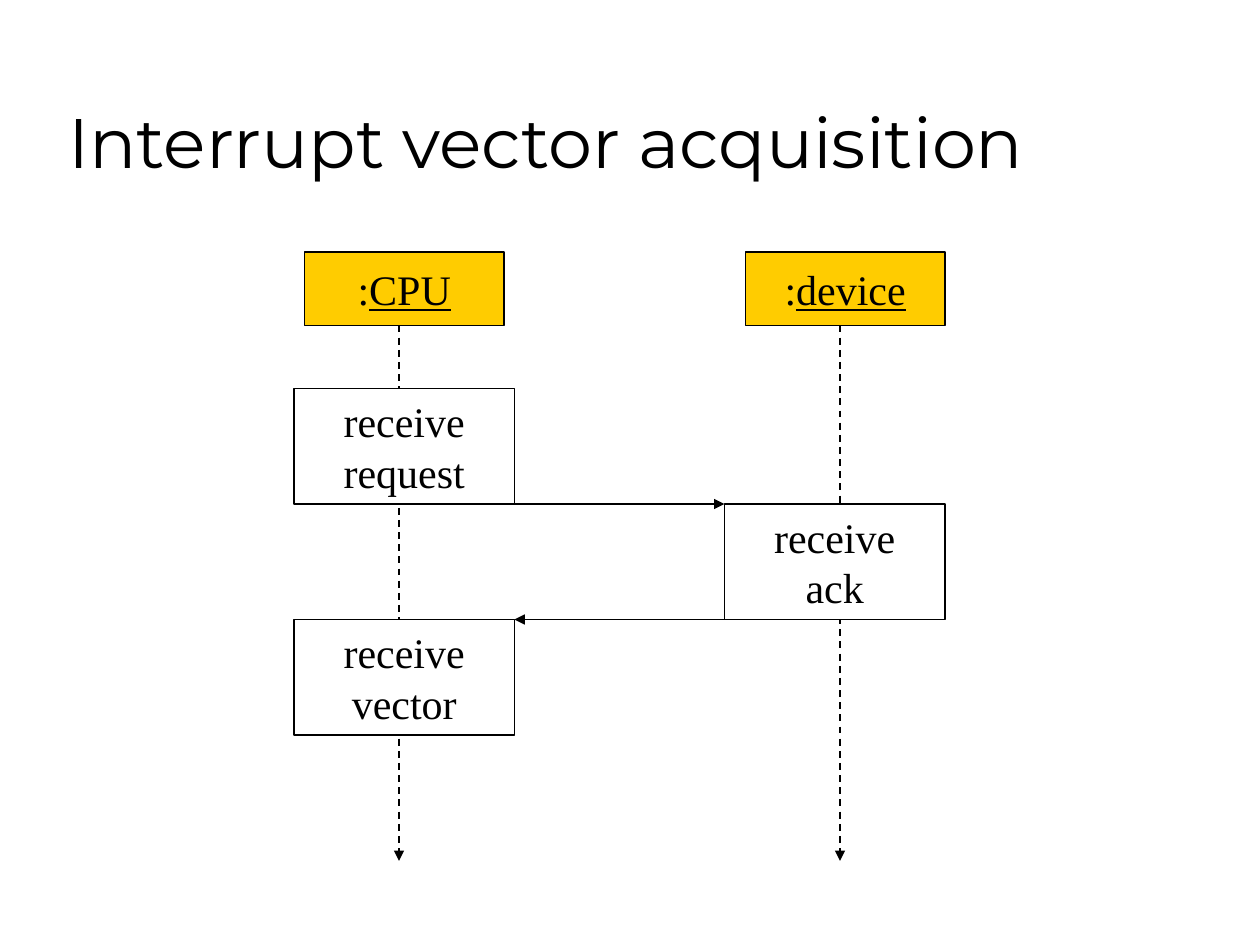
"""Build the sequence diagram of interrupt vector acquisition."""
from lxml.etree import SubElement
from pptx import Presentation
from pptx.dml.color import RGBColor
from pptx.enum.dml import MSO_LINE
from pptx.enum.shapes import MSO_CONNECTOR, MSO_SHAPE
from pptx.enum.text import MSO_ANCHOR, MSO_AUTO_SIZE, PP_ALIGN
from pptx.oxml.ns import qn
from pptx.util import Emu, Pt

TITLE = "Interrupt vector acquisition"
ACTORS = [
    {"name": "CPU", "head": 290, "life": 380, "block": 280},
    {"name": "device", "head": 710, "life": 800, "block": 690},
]
STEPS = [
    (0, ("receive", "request")),
    (1, ("receive", "ack")),
    (0, ("receive", "vector")),
]

PX = 7620
PAGE = (1200, 900)
TITLE_BOX = (53, 30, 1020, 150)
HEAD_TOP, HEAD_W, HEAD_H = 240, 190, 70
STEP_TOP, STEP_W, STEP_H = 370, 210, 110
LIFE_END = 820

INK = RGBColor(0x00, 0x00, 0x00)
THEME = {
    "head": RGBColor(0xFF, 0xCC, 0x00),
    "block": RGBColor(0xFF, 0xFF, 0xFF),
    "thin": Pt(0.75),
    "line": Pt(1),
    "title": {"name": "Montserrat", "size": Pt(40), "bold": False},
    "label": {"name": "Times New Roman", "size": Pt(24)},
}
FRAME = {"word_wrap": False, "vertical_anchor": MSO_ANCHOR.MIDDLE}
TITLE_FRAME = {
    "word_wrap": True,
    "auto_size": MSO_AUTO_SIZE.NONE,
    "vertical_anchor": MSO_ANCHOR.BOTTOM,
}


def emu(*nums):
    return [Emu(num * PX) for num in nums]


def apply(item, form):
    for key, value in form.items():
        setattr(item, key, value)


def style(font, form):
    apply(font, form)
    font.color.rgb = INK


def add_title(slide):
    title = slide.shapes.title
    apply(title, dict(zip(("left", "top", "width", "height"), emu(*TITLE_BOX))))
    frame = title.text_frame
    apply(frame, TITLE_FRAME)
    frame.text = TITLE
    para = frame.paragraphs[0]
    para.alignment = PP_ALIGN.LEFT
    style(para.runs[0].font, THEME["title"])


def add_box(slide, place, fill, width, lines):
    box = slide.shapes.add_shape(MSO_SHAPE.RECTANGLE, *emu(*place))
    box.shadow.inherit = False
    box.fill.solid()
    box.fill.fore_color.rgb = fill
    box.line.color.rgb = INK
    box.line.width = width
    frame = box.text_frame
    apply(frame, FRAME)
    for num, runs in enumerate(lines):
        para = frame.add_paragraph() if num else frame.paragraphs[0]
        para.alignment = PP_ALIGN.CENTER
        for text, under in runs:
            run = para.add_run()
            run.text = text
            style(run.font, THEME["label"])
            if under:
                run.font.underline = True


def add_arrow(slide, start, end, dash=None):
    arrow = slide.shapes.add_connector(MSO_CONNECTOR.STRAIGHT, *emu(*start, *end))
    arrow.line.color.rgb = INK
    arrow.line.width = THEME["line"]
    if dash:
        arrow.line.dash_style = dash
    props = arrow.element.spPr
    SubElement(props.find(qn("a:ln")), qn("a:tailEnd"), type="triangle")
    SubElement(props, qn("a:effectLst"))


def add_actor(slide, actor):
    place = (actor["head"], HEAD_TOP, HEAD_W, HEAD_H)
    label = [[(":", False), (actor["name"], True)]]
    add_box(slide, place, THEME["head"], THEME["thin"], label)
    life = actor["life"]
    start = (life, HEAD_TOP + HEAD_H)
    add_arrow(slide, start, (life, LIFE_END), MSO_LINE.DASH)


def add_steps(slide):
    for num, (who, words) in enumerate(STEPS):
        place = (ACTORS[who]["block"], STEP_TOP + num * STEP_H, STEP_W, STEP_H)
        lines = [[(word, False)] for word in words]
        add_box(slide, place, THEME["block"], THEME["line"], lines)


def add_calls(slide):
    for num, ((src, _), (dest, _)) in enumerate(zip(STEPS, STEPS[1:]), 1):
        left, right = ACTORS[src]["block"], ACTORS[dest]["block"]
        if left < right:
            left += STEP_W
        else:
            right += STEP_W
        y = STEP_TOP + num * STEP_H
        add_arrow(slide, (left, y), (right, y))


def main():
    deck = Presentation()
    deck.slide_width, deck.slide_height = emu(*PAGE)
    slide = deck.slides.add_slide(deck.slide_layouts[5])
    add_title(slide)
    for actor in ACTORS:
        add_actor(slide, actor)
    add_steps(slide)
    add_calls(slide)
    deck.save("out.pptx")


if __name__ == "__main__":
    main()
